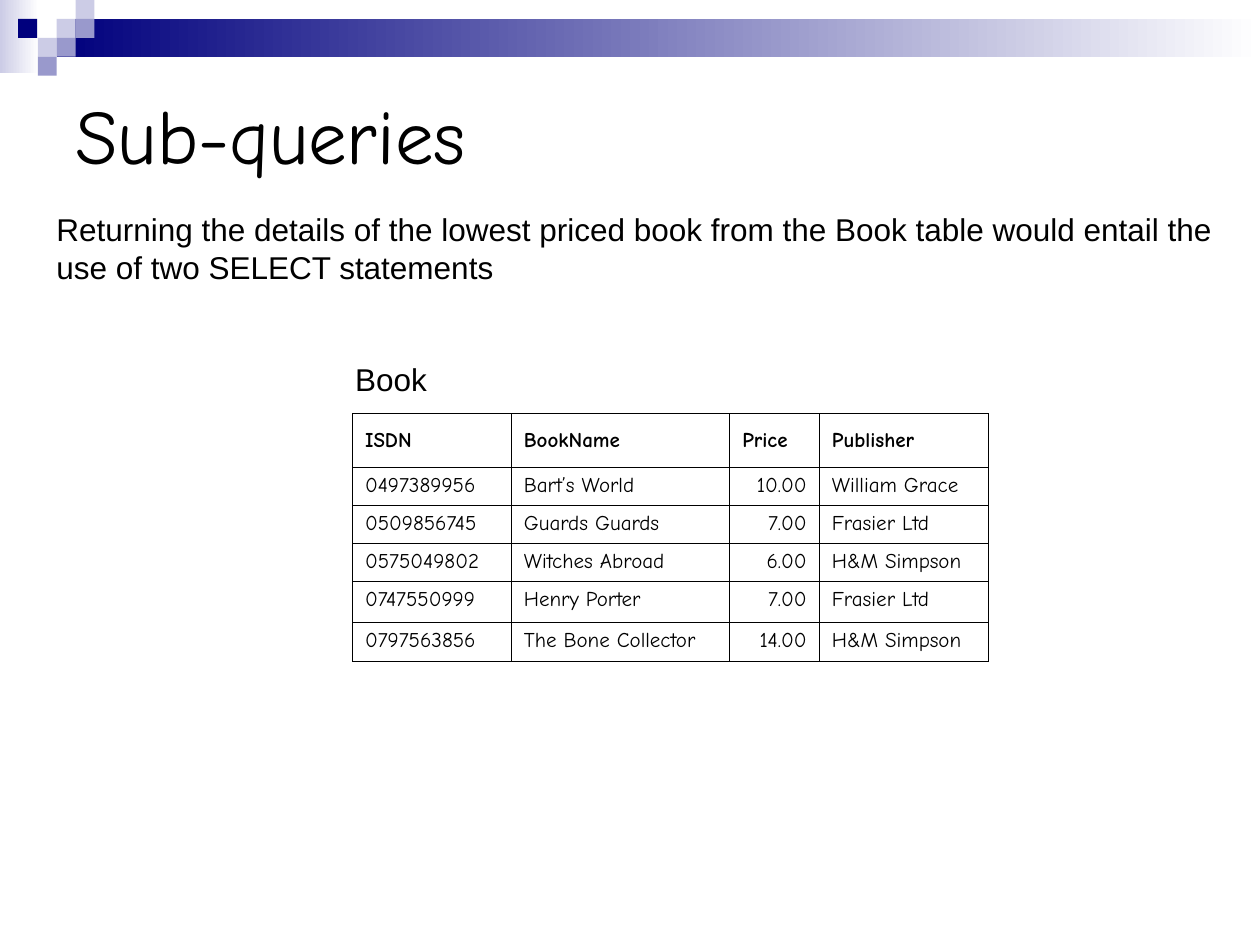
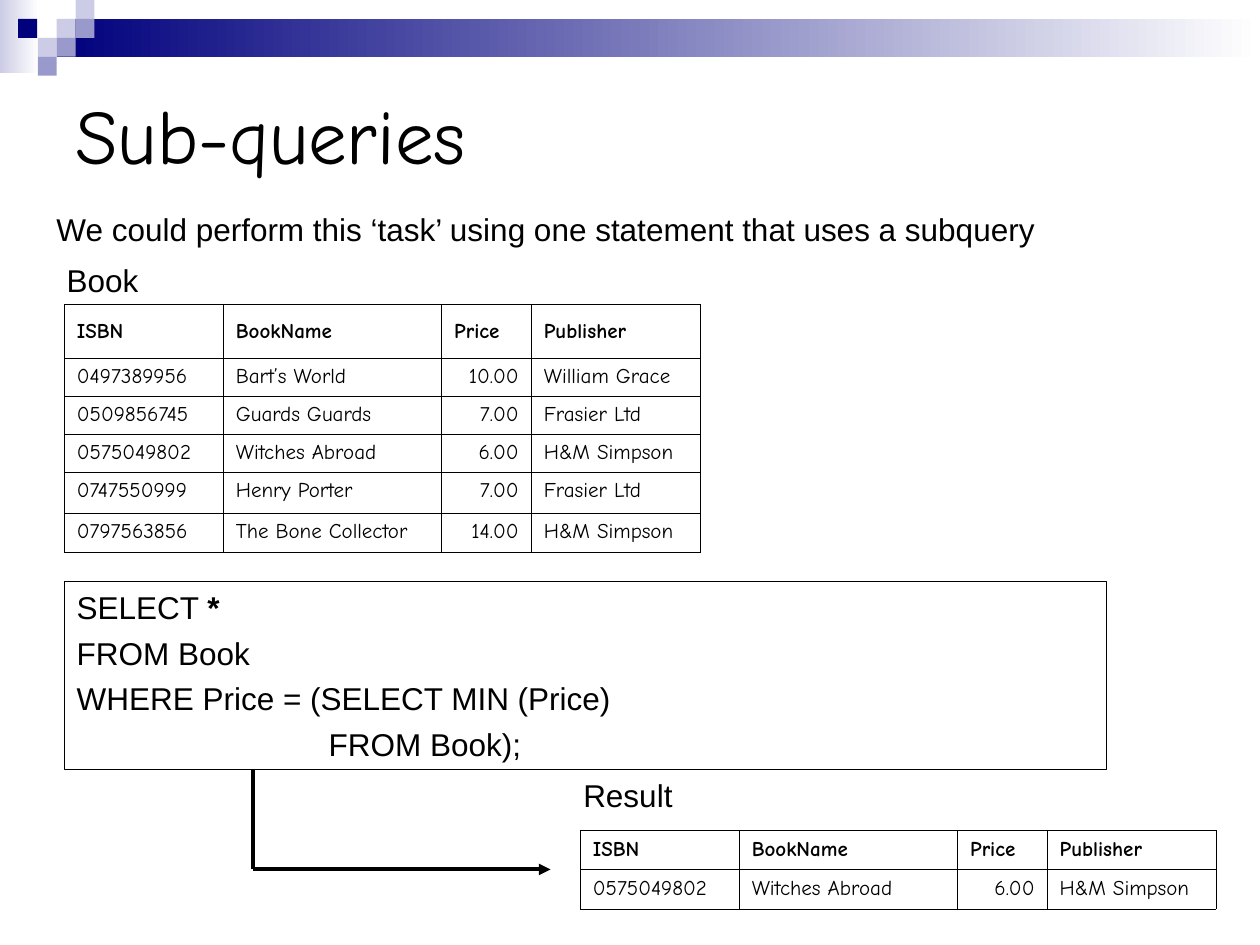
import pptx
import pptx.dml.color
import pptx.enum.shapes
import pptx.enum.text
import pptx.oxml.ns
import pptx.util
import lxml.etree

Pt = pptx.util.Pt
ANCHOR = pptx.enum.text.MSO_ANCHOR
ALIGN = pptx.enum.text.PP_ALIGN
COLOURS = {"ink": "000000", "paper": "FFFFFF", "navy": "00007D",
           "lilac": "9999CC", "mist": "CCCCE6"}
BODY_FONT, DISPLAY_FONT = "Arial", "Comic Neue"
SQUARE = 10.8
BAND_SQUARES = [(32.4, 10.8, "mist"), (43.2, 0, "mist"), (43.2, 10.8, "lilac"),
                (21.6, 21.6, "mist"), (10.4, 10.8, "navy"),
                (32.4, 21.6, "lilac"), (21.6, 32.4, "lilac")]
COLUMN_WIDTHS = [90.8, 124.8, 51.2, 96.4]
BOOK_ROW_HEIGHTS = [31, 21.7, 21.7, 21.7, 23.4, 22.4]
RESULT_ROW_HEIGHTS = [22.4, 22.6]
HEADINGS = ["BookName", "Price", "Publisher"]
BOOKS = [
    ["0497389956", "Bart’s World", "10.00", "William Grace"],
    ["0509856745", "Guards Guards", "7.00", "Frasier Ltd"],
    ["0575049802", "Witches Abroad", "6.00", "H&M Simpson"],
    ["0747550999", "Henry Porter", "7.00", "Frasier Ltd"],
    ["0797563856", "The Bone Collector", "14.00", "H&M Simpson"],
]
CHEAPEST = BOOKS[2]


def colour(name):
    """Return the RGB colour with this name."""
    return pptx.dml.color.RGBColor.from_string(COLOURS[name])


def add_xml(parent, tag, **attributes):
    """Append a DrawingML element and return it."""
    return lxml.etree.SubElement(parent, pptx.oxml.ns.qn(tag), attributes)


def add_run(paragraph, words, size, font=BODY_FONT, bold=False):
    """Add one run of text in the ink colour."""
    run = paragraph.add_run()
    run.text = words
    run.font.size = Pt(size)
    run.font.name = font
    run.font.bold = bold
    run.font.color.rgb = colour("ink")


def add_rectangle(slide, box):
    """Add a rectangle without shadow or outline."""
    rectangle = slide.shapes.add_shape(
        pptx.enum.shapes.MSO_SHAPE.RECTANGLE, *map(Pt, box))
    rectangle.shadow.inherit = False
    rectangle.line.fill.background()
    return rectangle


def add_fade(slide, box, start):
    """Add a bar that fades to the paper colour from left to right."""
    fill = add_rectangle(slide, box).fill
    fill.gradient()
    fill.gradient_angle = 0
    for stop, name in zip(fill.gradient_stops, (start, "paper")):
        stop.color.rgb = colour(name)


def add_band(slide):
    """Draw the faded bars and the small squares at the top."""
    add_fade(slide, (0, 0, 22.3, 41.8), "mist")
    add_fade(slide, (32.4, 10.8, 687.6, 21.6), "navy")
    for left, top, name in BAND_SQUARES:
        fill = add_rectangle(slide, (left, top, SQUARE, SQUARE)).fill
        fill.solid()
        fill.fore_color.rgb = colour(name)


def add_text(slide, box, words, size=18, font=BODY_FONT, anchor=ANCHOR.TOP):
    """Add one paragraph of text that wraps inside its box."""
    frame = slide.shapes.add_textbox(*map(Pt, box)).text_frame
    frame.word_wrap = True
    frame.vertical_anchor = anchor
    add_run(frame.paragraphs[0], words, size, font)


def add_borders(cell):
    """Give a cell thin lines on all four sides."""
    properties = cell._tc.get_or_add_tcPr()
    for position, side in enumerate(("a:lnL", "a:lnR", "a:lnT", "a:lnB")):
        line = add_xml(properties, side, w=str(Pt(0.34)))
        add_xml(add_xml(line, "a:solidFill"), "a:srgbClr", val=COLOURS["ink"])
        properties.insert(position, line)


def add_books(slide, left, top, key, books, row_heights, anchor=ANCHOR.TOP):
    """Add a table of books under a heading row that begins with the key."""
    rows = [[key] + HEADINGS] + books
    table = slide.shapes.add_table(
        len(rows), len(COLUMN_WIDTHS), Pt(left), Pt(top),
        Pt(sum(COLUMN_WIDTHS)), Pt(sum(row_heights))).table
    table.first_row = table.horz_banding = False
    for column, width in zip(table.columns, COLUMN_WIDTHS):
        column.width = Pt(width)
    for row, height in zip(table.rows, row_heights):
        row.height = Pt(height)
    for r, values in enumerate(rows):
        heading = r == 0
        for c, value in enumerate(values):
            cell = table.cell(r, c)
            cell.vertical_anchor = ANCHOR.MIDDLE if heading else anchor
            if heading:
                cell.fill.background()
            else:
                cell.fill.solid()
                cell.fill.fore_color.rgb = colour("paper")
            add_borders(cell)
            paragraph = cell.text_frame.paragraphs[0]
            if HEADINGS[c - 1] == "Price" and c and not heading:
                paragraph.alignment = ALIGN.RIGHT
            add_run(paragraph, value, 12, DISPLAY_FONT, heading)


def add_query(slide, box):
    """Add the framed query, with the end of its sub-query indented."""
    query = add_rectangle(slide, box)
    query.fill.background()
    query.line.color.rgb = colour("ink")
    query.line.width = Pt(0.75)
    frame = query.text_frame
    frame.word_wrap = True
    frame.vertical_anchor = ANCHOR.TOP
    lines = [["SELECT ", "*"], ["FROM Book"],
             ["WHERE Price = (SELECT MIN (Price)"], ["FROM Book);"]]
    for number, parts in enumerate(lines):
        paragraph = frame.add_paragraph() if number else frame.paragraphs[0]
        paragraph.alignment = ALIGN.LEFT
        if number:
            paragraph.space_before = Pt(4.5)
        for part in parts:
            add_run(paragraph, part, 18, bold=part == "*")
    paragraph._p.get_or_add_pPr().set("marL", str(Pt(144)))


def add_line(slide, start, end, arrow=False):
    """Add a thick line, with an arrowhead at its end if asked."""
    line = slide.shapes.add_connector(
        pptx.enum.shapes.MSO_CONNECTOR.STRAIGHT, *map(Pt, start + end))
    line.line.color.rgb = colour("ink")
    line.line.width = Pt(2.25)
    if arrow:
        add_xml(line.line._get_or_add_ln(), "a:tailEnd", type="triangle")
    add_xml(line._element.spPr, "a:effectLst")


def add_topic(deck, introduction):
    """Add a slide with the band, the title and an introduction."""
    slide = deck.slides.add_slide(deck.slide_layouts[6])
    add_band(slide)
    add_text(slide, (36, 36, 648, 80.6), "Sub-queries", 44, DISPLAY_FONT,
             ANCHOR.MIDDLE)
    add_text(slide, (25.2, 116.6, 674.6, 50.4), introduction)
    return slide


def add_problem_slide(deck):
    """Add the slide that shows the table to be searched."""
    slide = add_topic(deck, "Returning the details of the lowest priced book from "
                            "the Book table would entail the use of two SELECT "
                            "statements")
    add_text(slide, (195.8, 202.4, 209.5, 28.8), "Book")
    add_books(slide, 201.4, 236.2, "ISDN", BOOKS, BOOK_ROW_HEIGHTS)


def add_solution_slide(deck):
    """Add the slide that leads from the table to the query and its result."""
    slide = add_topic(deck, "We could perform this ‘task’ using one statement "
                            "that uses a subquery")
    add_query(slide, (36.8, 332.4, 595.4, 107.4))
    corner = (144.7, 496.8)
    add_line(slide, corner, (314.6, 496.8), arrow=True)
    add_text(slide, (31, 145.4, 209.5, 28.8), "Book")
    add_text(slide, (326.2, 440, 85, 28.8), "Result")
    add_books(slide, 36.8, 173.8, "ISBN", BOOKS, BOOK_ROW_HEIGHTS)
    add_books(slide, 331.6, 474.4, "ISBN", [CHEAPEST], RESULT_ROW_HEIGHTS,
              ANCHOR.MIDDLE)
    add_line(slide, corner, (144.7, 440))


def main():
    """Build the presentation and save it."""
    deck = pptx.Presentation()
    deck.slide_width, deck.slide_height = Pt(720), Pt(540)
    add_problem_slide(deck)
    add_solution_slide(deck)
    deck.save("out.pptx")


if __name__ == "__main__":
    main()
